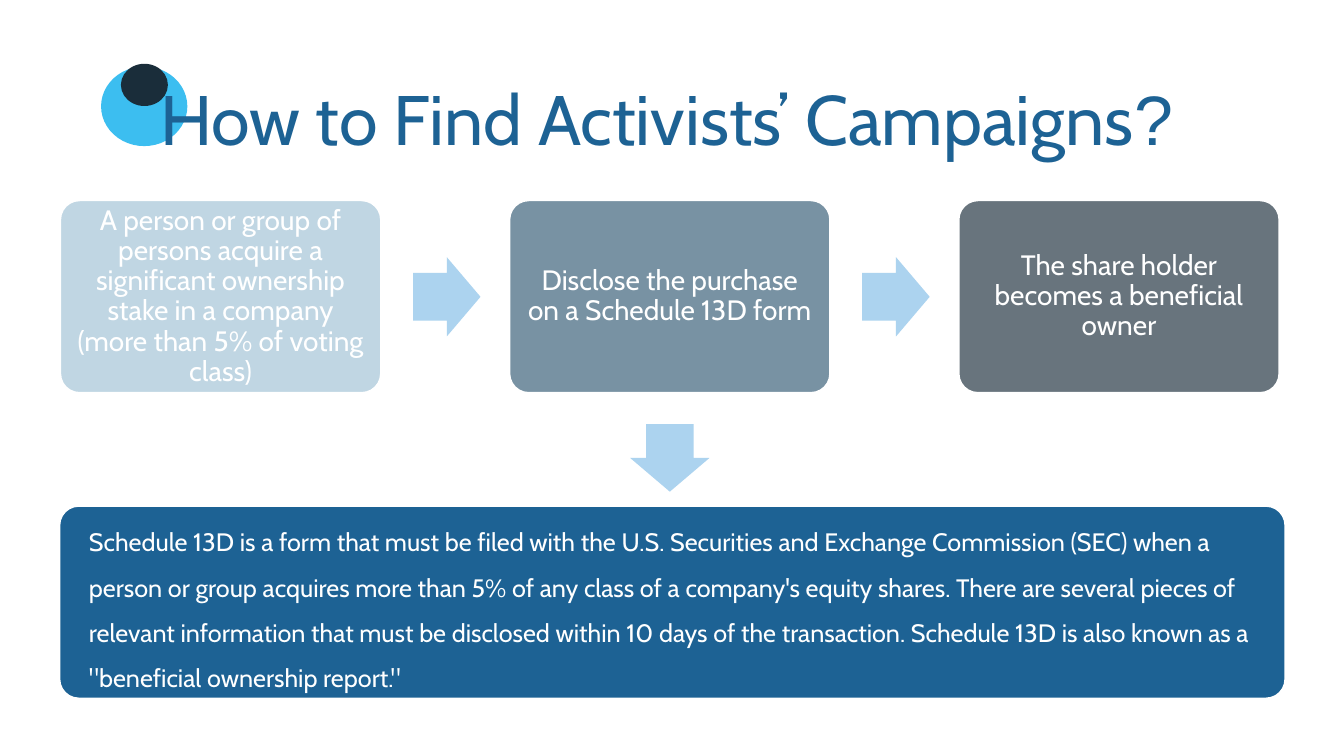
from dataclasses import dataclass

import pptx
import pptx.dml.color
import pptx.enum.shapes
import pptx.enum.text
import pptx.oxml.ns
import pptx.util
from lxml import etree
from pptx.util import Cm, Pt

SHAPE = pptx.enum.shapes.MSO_SHAPE
ALIGN = pptx.enum.text.PP_ALIGN
ANCHOR = pptx.enum.text.MSO_ANCHOR
AUTO = pptx.enum.text.MSO_AUTO_SIZE

BLUE, WHITE, ARROW_BLUE = "1D6294", "FFFFFF", "ACD3EF"
STEP_PITCH = 11.32
STEP_LEFT, STEP_TOP, STEP_WIDTH, BOX_HEIGHT = 1.52, 5.05, 8.08, 4.85
ARROW_LEFT, ARROW_TOP, ARROW_WIDTH, ARROW_HEIGHT = 10.41, 6.48, 1.7, 2.0


@dataclass
class Block:
    """A preset shape; lengths in centimetres, alpha in percent."""
    kind: SHAPE
    left: float
    top: float
    width: float
    height: float
    fill: str
    line: str | None = None
    alpha: int = 100
    adjustments: tuple[float, ...] = ()
    rotation: int = 0


@dataclass
class Step:
    text: str
    fill: str


STEPS = [
    Step("A person or group of persons acquire a significant ownership stake "
         "in a company (more than 5% of voting class)", "A0C1D5"),
    Step("Disclose the purchase on a Schedule 13D form", "335B74"),
    Step("The share holder becomes a beneficial owner", "1A2D3A"),
]
DEFINITION = (
    "Schedule 13D is a form that must be filed with the U.S. Securities and "
    "Exchange Commission (SEC) when a person or group acquires more than 5% of "
    "any class of a company's equity shares. There are several pieces of "
    "relevant information that must be disclosed within 10 days of the "
    "transaction. Schedule 13D is also known as a \"beneficial ownership report.\""
)


def color(hex_code: str) -> pptx.dml.color.RGBColor:
    return pptx.dml.color.RGBColor.from_string(hex_code)


def set_format(target, values: dict) -> None:
    for name, value in values.items():
        setattr(target, name, value)


def add_block(s, block: Block):
    sp = s.shapes.add_shape(block.kind, Cm(block.left), Cm(block.top),
                            Cm(block.width), Cm(block.height))
    sp.shadow.inherit = False
    sp.rotation = block.rotation
    for i, value in enumerate(block.adjustments):
        sp.adjustments[i] = value
    sp.fill.solid()
    sp.fill.fore_color.rgb = color(block.fill)
    if block.alpha < 100:
        rgb = sp.fill._xPr.find(".//" + pptx.oxml.ns.qn("a:srgbClr"))
        etree.SubElement(rgb, pptx.oxml.ns.qn("a:alpha"), val=str(block.alpha * 1000))
    if block.line:
        sp.line.color.rgb = color(block.line)
        sp.line.width = Pt(1.25)
    else:
        sp.line.fill.background()
    return sp


def add_run(p, text: str, size: int, hex_code: str, font: str = "Cabin") -> None:
    r = p.add_run()
    r.text = text
    set_format(r.font, {"name": font, "size": Pt(size)})
    r.font.color.rgb = color(hex_code)


def add_text_box(s, left: float, top: float, width: float, fill: str, text: str,
                 size: int, paragraph: dict, side_inset: float, alpha: int = 100) -> None:
    """Add a rounded box that holds one paragraph."""
    sp = add_block(s, Block(SHAPE.ROUNDED_RECTANGLE, left, top, width, BOX_HEIGHT,
                            fill, WHITE, alpha, (0.1,)))
    tf = sp.text_frame
    set_format(tf, {"word_wrap": True, "vertical_anchor": ANCHOR.MIDDLE,
                    "margin_left": Cm(side_inset), "margin_right": Cm(side_inset),
                    "margin_top": Cm(0.2), "margin_bottom": Cm(0.2)})
    p = tf.paragraphs[0]
    set_format(p, paragraph)
    add_run(p, text, size, WHITE)


def add_arrow(s, left: float, top: float, rotation: int = 0) -> None:
    add_block(s, Block(SHAPE.RIGHT_ARROW, left, top, ARROW_WIDTH, ARROW_HEIGHT,
                       ARROW_BLUE, adjustments=(0.6, 0.5), rotation=rotation))


def add_title(s) -> None:
    """Fill the title placeholder and bring it in front of the circles."""
    title = s.shapes.title
    set_format(title, {"left": Cm(3.78), "top": Cm(0.71),
                       "width": Cm(29.54), "height": Cm(3.1)})
    tf = title.text_frame
    set_format(tf, {"word_wrap": True, "vertical_anchor": ANCHOR.TOP,
                    "auto_size": AUTO.SHAPE_TO_FIT_TEXT})
    p = tf.paragraphs[0]
    set_format(p, {"alignment": ALIGN.LEFT, "line_spacing": 1.5, "space_before": Pt(0)})
    add_run(p, "How to Find Activists’ Campaigns", 50, BLUE)
    add_run(p, "?", 50, BLUE, "Arial")
    s.shapes._spTree.append(title._element)


def main() -> None:
    prs = pptx.Presentation()
    set_format(prs, {"slide_width": Cm(33.87), "slide_height": Cm(19.05)})
    s = prs.slides.add_slide(prs.slide_layouts.get_by_name("Title Only"))

    add_block(s, Block(SHAPE.OVAL, 2.57, 1.7, 2.13, 1.96, "3CBEF0", "3CBEF0"))
    add_block(s, Block(SHAPE.OVAL, 3.07, 1.63, 1.14, 1.02, "1A2D3A", "1A2D3A"))
    add_title(s)

    for i, step in enumerate(STEPS):
        if i:
            add_arrow(s, ARROW_LEFT + (i - 1) * STEP_PITCH, ARROW_TOP)
        add_text_box(s, STEP_LEFT + i * STEP_PITCH, STEP_TOP, STEP_WIDTH, step.fill,
                     step.text, 20, {"alignment": ALIGN.CENTER, "line_spacing": 0.9},
                     side_inset=0.2, alpha=66)

    add_arrow(s, 16.03, 10.54, rotation=90)
    add_text_box(s, 1.5, 12.75, 30.89, BLUE, DEFINITION, 18,
                 {"alignment": ALIGN.LEFT, "line_spacing": 1.5}, side_inset=0.6)
    prs.save("out.pptx")


if __name__ == "__main__":
    main()
